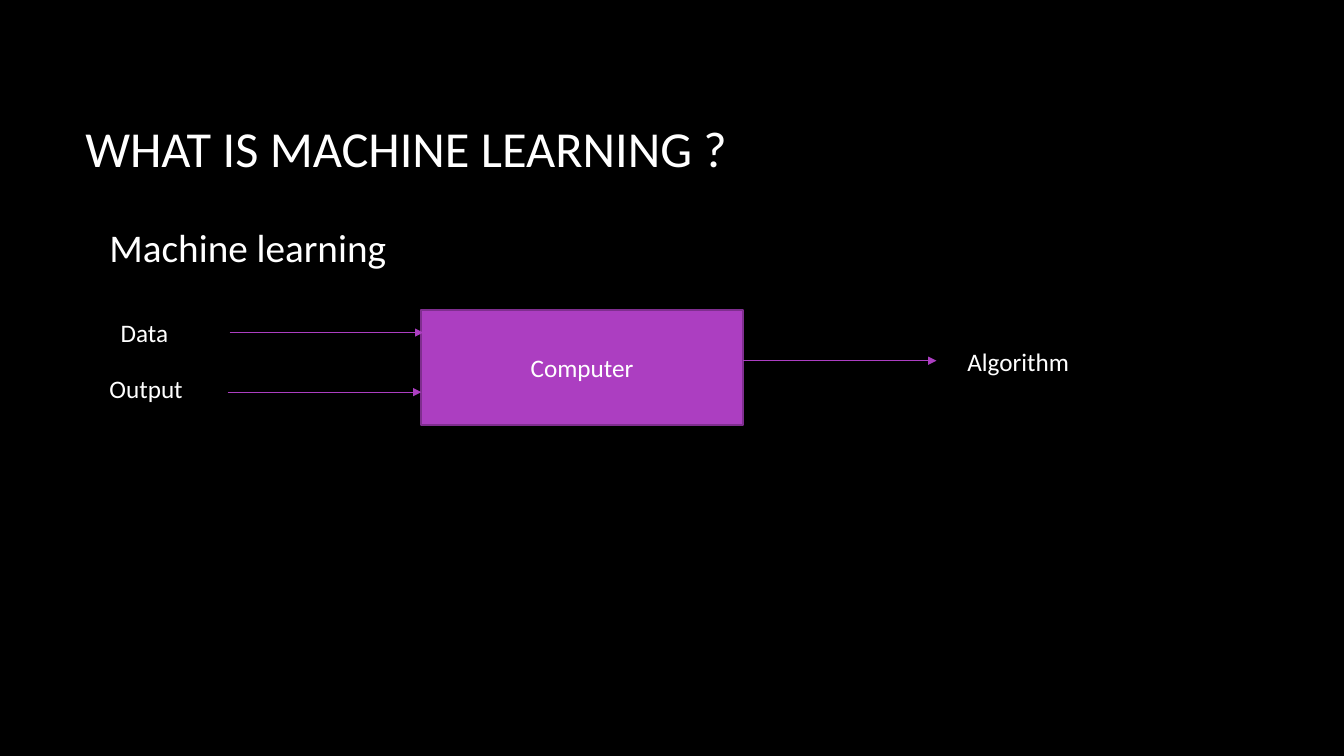
from lxml.etree import SubElement
from pptx import Presentation
from pptx.dml.color import RGBColor
from pptx.enum.shapes import MSO_CONNECTOR, MSO_SHAPE
from pptx.enum.text import MSO_ANCHOR, PP_ALIGN
from pptx.oxml.ns import qn
from pptx.util import Cm, Pt

BLACK = RGBColor(0x00, 0x00, 0x00)
WHITE = RGBColor(0xFF, 0xFF, 0xFF)
PURPLE = RGBColor(0xAC, 0x3E, 0xC1)
DARK_PURPLE = RGBColor(0x7F, 0x2E, 0x8F)
FONT = "Calibri"


def write(sp, text, size, anchor=MSO_ANCHOR.TOP, align=PP_ALIGN.LEFT):
    """Put one formatted paragraph into a shape."""
    tf = sp.text_frame
    tf.word_wrap = True
    tf.vertical_anchor = anchor
    tf.text = text
    p = tf.paragraphs[0]
    p.alignment = align
    font = p.runs[0].font
    font.name, font.size = FONT, Pt(size)
    font.color.rgb = WHITE


def add_text(slide, box, text, size, anchor=MSO_ANCHOR.TOP):
    """Add a text box; box is left, top, width, height in cm."""
    sp = slide.shapes.add_textbox(*map(Cm, box))
    write(sp, text, size, anchor)


def add_arrow(slide, x, y, length):
    """Add a horizontal arrow pointing right."""
    line = slide.shapes.add_connector(
        MSO_CONNECTOR.STRAIGHT, Cm(x), Cm(y), Cm(x + length), Cm(y))
    line.line.color.rgb = PURPLE
    line.line.width = Pt(0.75)
    SubElement(line.line._get_or_add_ln(), qn("a:tailEnd"), type="triangle")
    SubElement(line._element.spPr, qn("a:effectLst"))


def add_headings(slide, box):
    """Add the slide title and the subheading at the foot of the box."""
    left, top, width, height = box
    add_text(slide, (left, top, width, 4.04), "WHAT IS MACHINE LEARNING ?",
             36, MSO_ANCHOR.MIDDLE)
    add_text(slide, (left + 0.61, top + height - 1.45, 18.08, 1.45),
             "Machine learning", 28)


def add_diagram(slide, box):
    """Add the computer with its two inputs and its result."""
    left, top, width, height = box
    computer_x, computer_w, arrow_w = left + 8.11, 8.1, 4.88

    sp = slide.shapes.add_shape(MSO_SHAPE.RECTANGLE, Cm(computer_x), Cm(top),
                                Cm(computer_w), Cm(height))
    sp.shadow.inherit = False
    sp.fill.solid()
    sp.fill.fore_color.rgb = PURPLE
    sp.line.color.rgb = DARK_PURPLE
    sp.line.width = Pt(1.5)
    write(sp, "Computer", 18, MSO_ANCHOR.MIDDLE, PP_ALIGN.CENTER)

    for x, y in ((computer_x - arrow_w + 0.05, 0.56),
                 (computer_x - arrow_w, 2.06),
                 (computer_x + computer_w, 1.27)):
        add_arrow(slide, x, top + y, arrow_w)

    for text, x, y, w in (("Data", 0.28, 0.05, 2.72),
                          ("Output", 0, 1.45, 3.3),
                          ("Algorithm", width - 3.23, 0.77, 3.23)):
        add_text(slide, (left + x, top + y, w, 1.02), text, 18)


def main():
    """Build and save the slide."""
    prs = Presentation()
    prs.slide_width, prs.slide_height = Cm(33.87), Cm(19.05)
    slide = prs.slides.add_slide(prs.slide_layouts[6])
    slide.background.fill.solid()
    slide.background.fill.fore_color.rgb = BLACK
    add_headings(slide, (1.9, 1.7, 28.14, 5.26))
    add_diagram(slide, (2.51, 7.82, 24.85, 2.9))
    prs.save("out.pptx")


if __name__ == "__main__":
    main()
